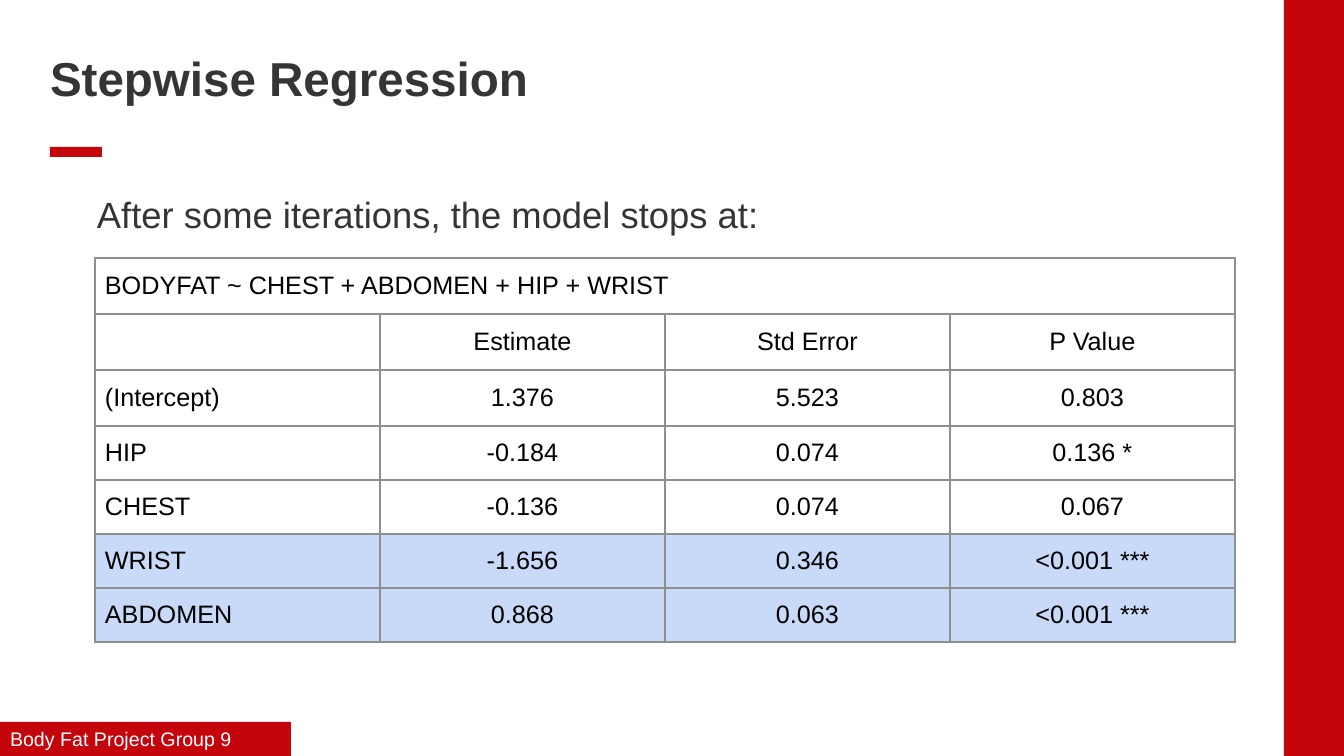
import dataclasses

import lxml.etree
import pptx
import pptx.dml.color
import pptx.enum.shapes
import pptx.enum.text
import pptx.oxml.ns
import pptx.util

EMU_PER_PX = 914400 / 100.8
RED = "C5050C"
DARK = "353535"
BLACK = "000000"
WHITE = "FFFFFF"
HIGHLIGHT = "C9DAF8"
BORDER = "8F8F8F"
ALIGN = pptx.enum.text.PP_ALIGN
ANCHOR = pptx.enum.text.MSO_ANCHOR


@dataclasses.dataclass(frozen=True)
class Frame:
    left: int
    top: int
    width: int
    height: int


@dataclasses.dataclass(frozen=True)
class Block:
    frame: Frame
    text: str = ""


@dataclasses.dataclass(frozen=True)
class Row:
    height: int
    values: tuple[str, ...]
    fill: str = WHITE


BLOCKS = (
    Block(Frame(1284, 0, 60, 756)),
    Block(Frame(50, 147, 52, 10)),
    Block(Frame(0, 722, 291, 34), "Body Fat Project Group 9"),
)
ROWS = (
    Row(56, ("BODYFAT ~ CHEST + ABDOMEN + HIP + WRIST", "", "", "")),
    Row(56, ("", "Estimate", "Std Error", "P Value")),
    Row(56, ("(Intercept)", "1.376", "5.523", "0.803")),
    Row(54, ("HIP", "-0.184", "0.074", "0.136 *")),
    Row(54, ("CHEST", "-0.136", "0.074", "0.067")),
    Row(54, ("WRIST", "-1.656", "0.346", "<0.001 ***"), HIGHLIGHT),
    Row(54, ("ABDOMEN", "0.868", "0.063", "<0.001 ***"), HIGHLIGHT),
)
COLUMN_WIDTH = 285


def px(length: int) -> int:
    return round(length * EMU_PER_PX)


def color(value: str) -> pptx.dml.color.RGBColor:
    return pptx.dml.color.RGBColor.from_string(value)


def place(frame: Frame) -> tuple[int, ...]:
    return tuple(px(length) for length in dataclasses.astuple(frame))


def write(text_frame, text: str, size: int, ink: str, bold: bool = False, align=ALIGN.LEFT) -> None:
    text_frame.text = text
    para = text_frame.paragraphs[0]
    para.alignment = align
    for span in para.runs:
        span.font.name = "Arial"
        span.font.size = pptx.util.Pt(size)
        span.font.bold = bold
        span.font.color.rgb = color(ink)


def set_margins(target, left: int, top: int, right: int, bottom: int) -> None:
    target.margin_left, target.margin_top = px(left), px(top)
    target.margin_right, target.margin_bottom = px(right), px(bottom)


def add_block(page, block: Block) -> None:
    box = page.shapes.add_shape(pptx.enum.shapes.MSO_SHAPE.RECTANGLE, *place(block.frame))
    box.shadow.inherit = False
    box.fill.solid()
    box.fill.fore_color.rgb = color(RED)
    box.line.fill.background()
    if block.text:
        box.text_frame.vertical_anchor = ANCHOR.MIDDLE
        set_margins(box.text_frame, 10, 5, 10, 5)
        write(box.text_frame, block.text, 14, WHITE)


def add_title(page, frame: Frame, text: str) -> None:
    title = page.shapes.title
    title.left, title.top, title.width, title.height = place(frame)
    set_margins(title.text_frame, 0, 5, 10, 0)
    title.text_frame.vertical_anchor = ANCHOR.BOTTOM
    title.text_frame.auto_size = pptx.enum.text.MSO_AUTO_SIZE.NONE
    write(title.text_frame, text, 34, DARK, bold=True)
    title.text_frame.paragraphs[0].line_spacing = 0.9


def add_lead(page, frame: Frame, text: str) -> None:
    box = page.shapes.add_textbox(*place(frame))
    box.text_frame.word_wrap = True
    set_margins(box.text_frame, 10, 10, 10, 10)
    write(box.text_frame, text, 26, DARK)


def add_borders(cell) -> None:
    qn = pptx.oxml.ns.qn
    properties = cell._tc.get_or_add_tcPr()
    for side in ("a:lnL", "a:lnR", "a:lnT", "a:lnB"):
        line = lxml.etree.SubElement(properties, qn(side), w=str(pptx.util.Pt(1.5)))
        fill = lxml.etree.SubElement(line, qn("a:solidFill"))
        lxml.etree.SubElement(fill, qn("a:srgbClr"), val=BORDER)


def add_model_table(page, left: int, top: int, rows: tuple[Row, ...]) -> None:
    columns = len(rows[0].values)
    frame = Frame(left, top, columns * COLUMN_WIDTH, sum(row.height for row in rows))
    table = page.shapes.add_table(len(rows), columns, *place(frame)).table
    table.first_row = False
    table.horz_banding = False
    for column in table.columns:
        column.width = px(COLUMN_WIDTH)
    for row_index, row in enumerate(rows):
        table.rows[row_index].height = px(row.height)
        for column_index, value in enumerate(row.values):
            cell = table.cell(row_index, column_index)
            add_borders(cell)
            cell.fill.solid()
            cell.fill.fore_color.rgb = color(row.fill)
            cell.vertical_anchor = ANCHOR.MIDDLE
            set_margins(cell, 10, 10, 10, 10)
            align = ALIGN.CENTER if column_index else ALIGN.LEFT
            write(cell.text_frame, value, 18, BLACK, align=align)
    table.cell(0, 0).merge(table.cell(0, columns - 1))


def main() -> None:
    deck = pptx.Presentation()
    deck.slide_width, deck.slide_height = px(1344), px(756)
    page = deck.slides.add_slide(deck.slide_layouts.get_by_name("Title Only"))
    for block in BLOCKS:
        add_block(page, block)
    add_title(page, Frame(50, 50, 1202, 57), "Stepwise Regression")
    add_model_table(page, 95, 258, ROWS)
    add_lead(page, Frame(87, 182, 1139, 77), "After some iterations, the model stops at:")
    deck.save("out.pptx")


if __name__ == "__main__":
    main()
